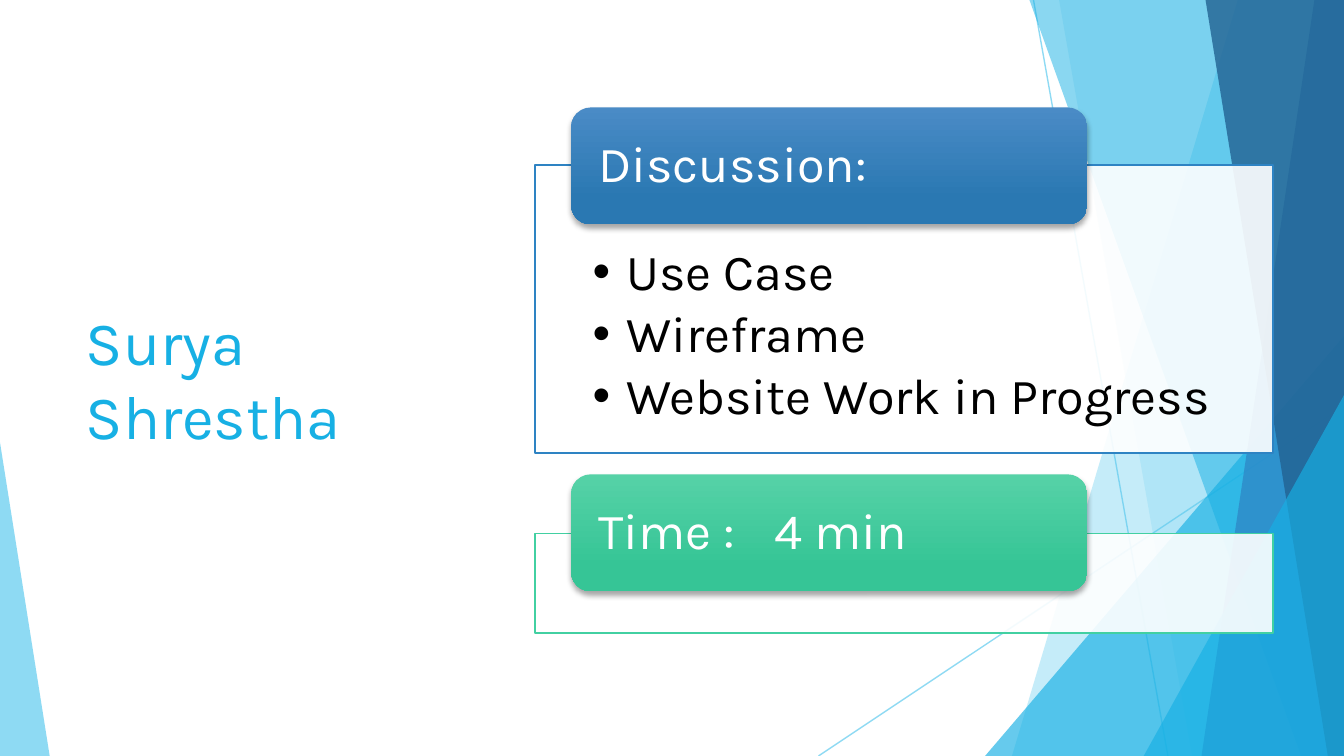
from lxml import etree
from pptx import Presentation
from pptx import util as u
from pptx.dml.color import RGBColor
from pptx.enum import shapes, text
from pptx.oxml.ns import qn

WIDTH = 10
HEIGHT = WIDTH * 9 / 16
FONT = "Karla"
SKY, AZURE, BLUE, NAVY = "5FCBEF", "17B0E4", "2E83C3", "226292"
GREEN, WHITE, BLACK = "42D0A2", "FFFFFF", "000000"

# Top x, bottom x, colour, opacity of each band reaching the right edge
BANDS_BEHIND = [(9.21, 7.53, SKY, 36), (7.88, 8.87, SKY, 20)]
BANDS_FRONT = [(7.66, 9.68, AZURE, 50), (9.78, 8.94, BLUE, 70), (8.97, 9.88, NAVY, 80)]


def rgb(color):
    return RGBColor.from_string(color)


def sub(parent, tag, **attributes):
    return etree.SubElement(parent, qn(tag), {k: str(v) for k, v in attributes.items()})


def set_opacity(fill_owner, percent):
    """Make the solid colour below fill_owner translucent."""
    color = fill_owner.find(f"{qn('a:solidFill')}/{qn('a:srgbClr')}")
    sub(color, "a:alpha", val=percent * 1000)


def fill_solid(shape, color, opacity):
    shape.shadow.inherit = False
    shape.fill.solid()
    shape.fill.fore_color.rgb = rgb(color)
    set_opacity(shape._element.spPr, opacity)
    shape.line.fill.background()


def add_ray(slide, x1, y1, x2, y2):
    ray = slide.shapes.add_connector(
        shapes.MSO_CONNECTOR.STRAIGHT, *map(u.Inches, (x1, y1, x2, y2)))
    ray.line.color.rgb = rgb(SKY)
    ray.line.width = u.Pt(0.75)
    properties = ray._element.spPr
    set_opacity(properties.find(qn("a:ln")), 70)
    sub(properties, "a:effectLst")


def add_band(slide, top_x, bottom_x, color, opacity):
    corners = [(WIDTH, 0), (WIDTH, HEIGHT), (bottom_x, HEIGHT)]
    builder = slide.shapes.build_freeform(u.Inches(top_x), 0)
    builder.add_line_segments([(u.Inches(x), u.Inches(y)) for x, y in corners], close=True)
    fill_solid(builder.convert_to_shape(), color, opacity)


def add_triangle(slide, left, top, width, apex, color, opacity):
    """Add a triangle standing on the bottom edge of the slide."""
    triangle = slide.shapes.add_shape(
        shapes.MSO_SHAPE.ISOSCELES_TRIANGLE,
        *map(u.Inches, (left, top, width, HEIGHT - top)))
    triangle.adjustments[0] = apex
    fill_solid(triangle, color, opacity)


def add_backdrop(slide):
    add_ray(slide, 7.69, 0, 8.69, HEIGHT)
    add_ray(slide, WIDTH, 3.02, 6.09, HEIGHT)
    for band in BANDS_BEHIND:
        add_band(slide, *band)
    add_triangle(slide, 7.33, 2.5, 2.67, 1, AZURE, 66)
    for band in BANDS_FRONT:
        add_band(slide, *band)
    add_triangle(slide, 8.51, 2.94, 1.49, 1, AZURE, 66)
    add_triangle(slide, 0, 3.29, 0.37, 0, SKY, 70)


def add_text(slide, box, lines, size, color, insets=(0.1, 0.05, 0.1, 0.05),
             anchor=text.MSO_ANCHOR.MIDDLE, line_spacing=1.0):
    frame = slide.shapes.add_textbox(*map(u.Inches, box)).text_frame
    frame.word_wrap = True
    frame.vertical_anchor = anchor
    frame.margin_left, frame.margin_top, frame.margin_right, frame.margin_bottom = map(
        u.Inches, insets)
    frame.text = "\n".join(lines)
    for paragraph in frame.paragraphs:
        paragraph.line_spacing = line_spacing
        for run in paragraph.runs:
            run.font.name = FONT
            run.font.size = u.Pt(size)
            run.font.color.rgb = rgb(color)
    return frame


def add_bullets(frame):
    for paragraph in frame.paragraphs:
        paragraph.space_after = u.Pt(4)
        properties = paragraph._p.get_or_add_pPr()
        properties.set("marL", str(u.Inches(0.25)))
        properties.set("indent", str(-u.Inches(0.25)))
        sub(properties, "a:buFont", typeface="Arial")
        sub(properties, "a:buChar", char="•")


def add_tab_stop(paragraph, position):
    stops = sub(paragraph._p.get_or_add_pPr(), "a:tabLst")
    sub(stops, "a:tab", pos=u.Inches(position), algn="l")


def add_panel(slide, top, height, color):
    panel = slide.shapes.add_shape(
        shapes.MSO_SHAPE.RECTANGLE, *map(u.Inches, (3.98, top, 5.49, height)))
    fill_solid(panel, WHITE, 90)
    panel.line.color.rgb = rgb(color)
    panel.line.width = u.Pt(1)


def add_soft_shadow(shape):
    shape.shadow.inherit = False
    effects = shape._element.spPr.find(qn("a:effectLst"))
    shadow = sub(effects, "a:outerShdw", blurRad=u.Pt(3), dist=u.Pt(2),
                 dir=90 * 60000, rotWithShape=0)
    sub(sub(shadow, "a:srgbClr", val=BLACK), "a:alpha", val=35000)


def add_heading(slide, top, label, gradient):
    """Add a rounded gradient tab with its label."""
    tab = slide.shapes.add_shape(
        shapes.MSO_SHAPE.ROUNDED_RECTANGLE, *map(u.Inches, (4.25, top, 3.84, 0.87)))
    tab.fill.gradient()
    tab.fill.gradient_angle = 270
    for stop, color, position in zip(tab.fill.gradient_stops, gradient, (0, 0.78)):
        stop.color.rgb = rgb(color)
        stop.position = position
    tab.line.fill.background()
    add_soft_shadow(tab)
    return add_text(slide, (4.3, top + 0.04, 3.76, 0.79), [label], 27, WHITE,
                    insets=(0.15, 0, 0.15, 0), line_spacing=0.9)


def main():
    deck = Presentation()
    deck.slide_width, deck.slide_height = u.Inches(WIDTH), u.Inches(HEIGHT)
    slide = deck.slides.add_slide(deck.slide_layouts[6])

    add_backdrop(slide)
    add_text(slide, (0.54, 1.13, 2.91, 3.36), ["Surya Shrestha"], 33, AZURE)

    add_panel(slide, 1.23, 2.14, BLUE)
    topics = add_text(slide, (3.98, 1.23, 5.49, 2.14),
                      ["Use Case", "Wireframe", "Website Work in Progress"], 27, BLACK,
                      insets=(0.43, 0.61, 0.43, 0.21),
                      anchor=text.MSO_ANCHOR.TOP, line_spacing=0.9)
    add_bullets(topics)
    add_heading(slide, 0.8, "Discussion:", ("4A8BC6", "2A78B2"))

    add_panel(slide, 3.97, 0.74, GREEN)
    duration = add_heading(slide, 3.53, "Time :\t4 min", ("56D2A7", "36C596"))
    add_tab_stop(duration.paragraphs[0], 1.31)

    deck.save("out.pptx")


if __name__ == "__main__":
    main()
